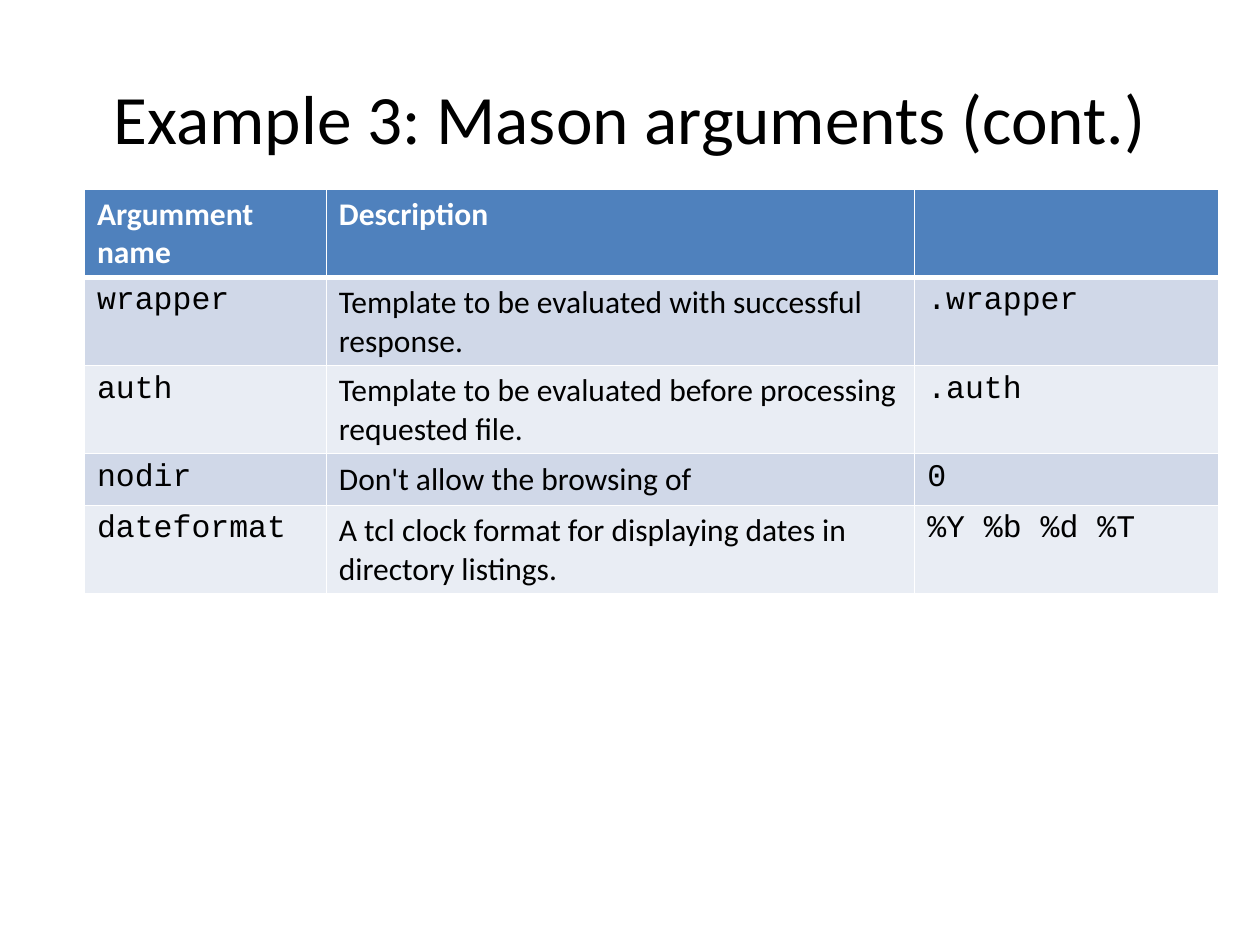
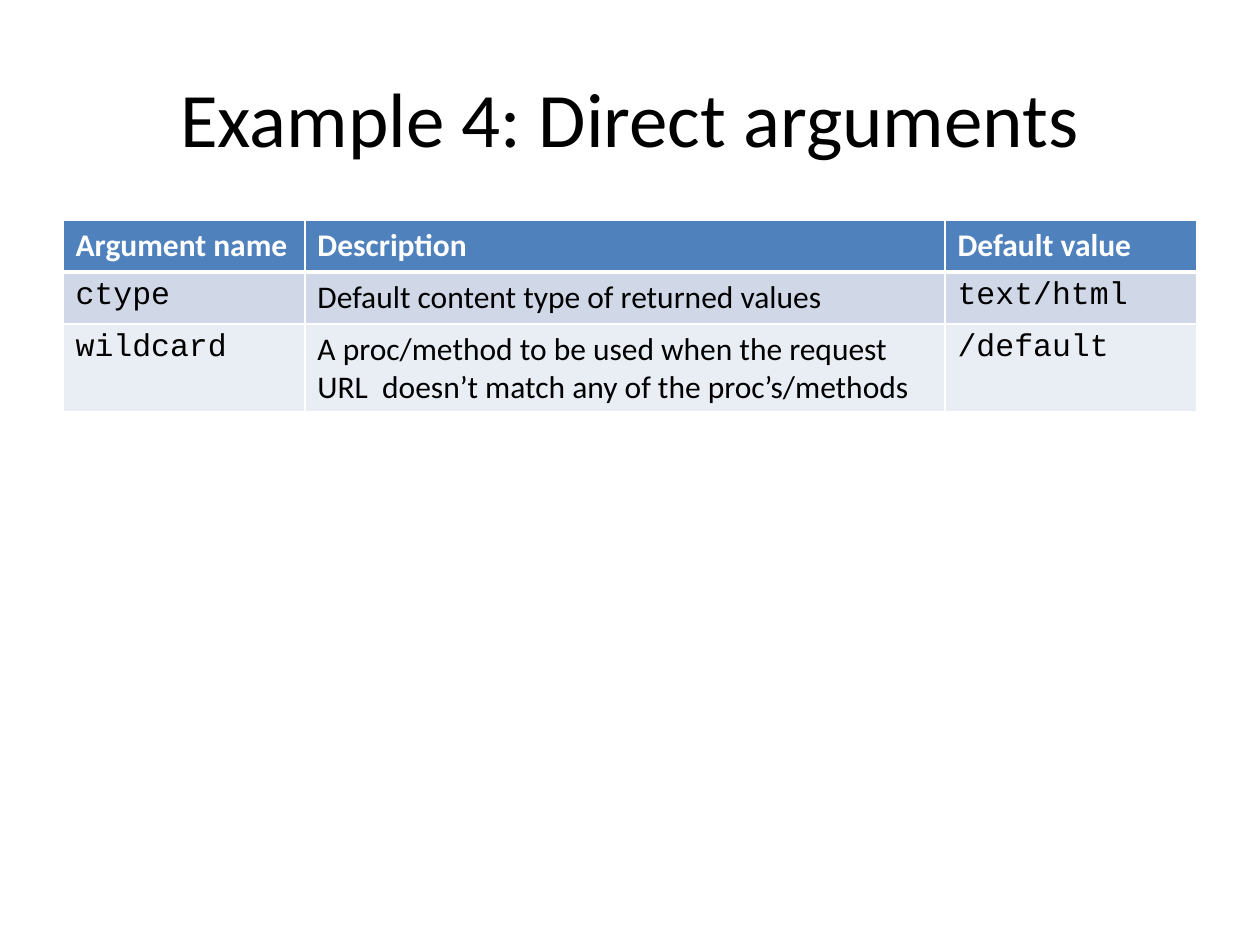
from lxml import etree
from pptx import Presentation
from pptx.dml.color import RGBColor
from pptx.enum import text
from pptx.oxml import ns
from pptx.util import Inches, Pt

SLIDES = [
    {
        "title": "Example 3: Mason arguments (cont.)",
        "title_size": 39.6,
        "table_at": (0.67, 1.5),
        "column_widths": (1.92, 4.67, 2.41),
        "rows": [
            ("Argumment name", "Description", ""),
            ("wrapper", "Template to be evaluated with successful response.", ".wrapper"),
            ("auth", "Template to be evaluated before processing requested file.", ".auth"),
            ("nodir", "Don't allow the browsing of", "0"),
            ("dateformat", "A tcl clock format for displaying dates in directory listings.",
             "%Y %b %d %T"),
        ],
    },
    {
        "title": "Example 4: Direct arguments",
        "title_size": 44,
        "table_at": (0.5, 1.75),
        "column_widths": (1.92, 5.08, 2),
        "rows": [
            ("Argument name", "Description", "Default value"),
            ("ctype", "Default content type of returned values", "text/html"),
            ("wildcard", "A proc/method to be used when the request URL  doesn’t match "
             "any of the proc’s/methods", "/default"),
        ],
    },
]

WHITE, BLACK = "FFFFFF", "000000"
HEADER_FILL = "4F81BD"
BAND_FILLS = ("D0D8E8", "E9EDF4")
BODY_FONT, CODE_FONT = "Calibri", "Courier New"
DESCRIPTION_COLUMN = 1
ROW_HEIGHT = 0.41
CELL_TEXT_SIZE = 18


def color(hex_string):
    return RGBColor.from_string(hex_string)


def format_runs(paragraph, font_name, size, hex_string, bold=False):
    for run in paragraph.runs:
        run.font.name = font_name
        run.font.size = Pt(size)
        run.font.bold = bold
        run.font.color.rgb = color(hex_string)


def add_title(slide, title, size):
    shape = slide.shapes.add_textbox(Inches(0.5), Inches(0.3), Inches(9), Inches(1.25))
    frame = shape.text_frame
    frame.word_wrap = True
    frame.vertical_anchor = text.MSO_ANCHOR.MIDDLE
    frame.text = title
    paragraph = frame.paragraphs[0]
    paragraph.alignment = text.PP_ALIGN.CENTER
    format_runs(paragraph, BODY_FONT, size, BLACK)


def set_borders(cell, **widths):
    """Draw white borders; each keyword is a side (L, R, T, B) with its width in points."""
    properties = cell._tc.get_or_add_tcPr()
    for index, (side, width) in enumerate(widths.items()):
        line = etree.Element(ns.qn(f"a:ln{side}"), w=str(Pt(width)))
        fill = etree.SubElement(line, ns.qn("a:solidFill"))
        etree.SubElement(fill, ns.qn("a:srgbClr"), val=WHITE)
        properties.insert(index, line)


def format_cell(cell, row, column):
    is_header = row == 0
    fill = HEADER_FILL if is_header else BAND_FILLS[(row - 1) % 2]
    is_code = not is_header and column != DESCRIPTION_COLUMN
    cell.fill.solid()
    cell.fill.fore_color.rgb = color(fill)
    set_borders(cell, L=1, R=1, T=3 if row == 1 else 1, B=3 if is_header else 1)
    format_runs(cell.text_frame.paragraphs[0], CODE_FONT if is_code else BODY_FONT,
                CELL_TEXT_SIZE, WHITE if is_header else BLACK, is_header)


def add_argument_table(slide, rows, position, column_widths):
    left, top = position
    table = slide.shapes.add_table(
        len(rows), len(column_widths), Inches(left), Inches(top),
        Inches(sum(column_widths)), Inches(ROW_HEIGHT * len(rows))).table
    for column, width in zip(table.columns, column_widths):
        column.width = Inches(width)
    for row, values in enumerate(rows):
        for column, value in enumerate(values):
            cell = table.cell(row, column)
            cell.text_frame.text = value
            format_cell(cell, row, column)


def main():
    presentation = Presentation()
    presentation.slide_width = Inches(10)
    presentation.slide_height = Inches(7.5)
    blank_layout = presentation.slide_layouts[6]
    for content in SLIDES:
        slide = presentation.slides.add_slide(blank_layout)
        add_title(slide, content["title"], content["title_size"])
        add_argument_table(slide, content["rows"], content["table_at"],
                           content["column_widths"])
    presentation.save("out.pptx")


if __name__ == "__main__":
    main()
